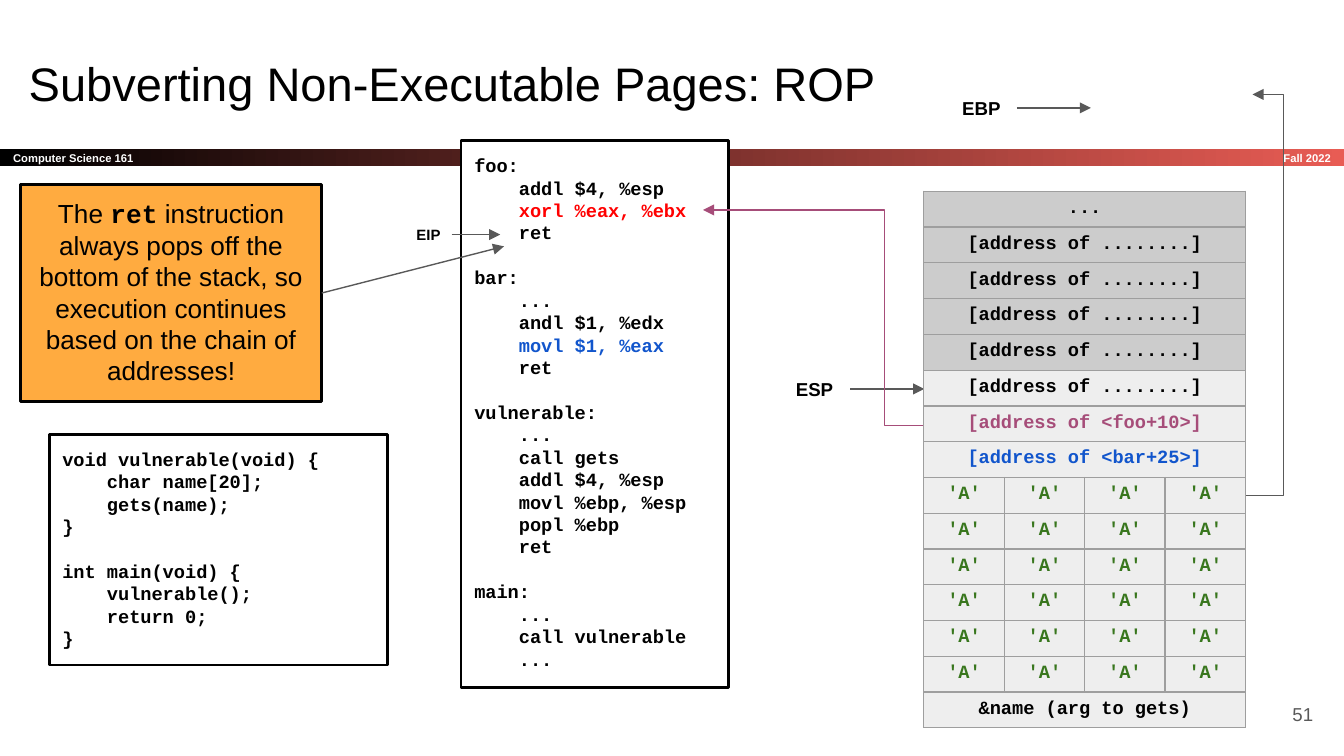
from lxml.etree import SubElement
from pptx import Presentation
from pptx.dml.color import RGBColor
from pptx.enum.shapes import MSO_CONNECTOR as Connector, MSO_SHAPE as Preset
from pptx.enum.text import MSO_ANCHOR as Anchor, MSO_AUTO_SIZE as AutoSize, PP_ALIGN as Align
from pptx.oxml import parse_xml
from pptx.oxml.ns import nsdecls, qn
from pptx.util import Pt

COLORS = {
    "black": "000000", "white": "FFFFFF", "gray": "595959", "coral": "E85C54",
    "orange": "FFAB40", "red": "FF0000", "blue": "1155CC", "plum": "A64D79",
    "green": "38761D", "border": "9E9E9E", "old": "CCCCCC", "live": "EEEEEE",
}
SANS, MONO = "Arial", "Courier New"
LINE_HEIGHT = 12

ASSEMBLY = [
    ["foo:", "    addl $4, %esp", "    xorl %eax, %ebx", "    ret"],
    ["bar:", "    ...", "    andl $1, %edx", "    movl $1, %eax", "    ret"],
    ["vulnerable:", "    ...", "    call gets", "    addl $4, %esp",
     "    movl %ebp, %esp", "    popl %ebp", "    ret"],
    ["main:", "    ...", "    call vulnerable", "    ..."],
]
C_SOURCE = [
    ["void vulnerable(void) {", "    char name[20];", "    gets(name);", "}"],
    ["int main(void) {", "    vulnerable();", "    return 0;", "}"],
]
HIGHLIGHTS = {"    xorl %eax, %ebx": "red", "    movl $1, %eax": "blue"}
PADDING = "[address of ........]"
STACK = (
    [(["..."], "black", "old")]
    + [([PADDING], "black", "old")] * 4
    + [([PADDING], "black", "live"),
       (["[address of <foo+10>]"], "plum", "live"),
       (["[address of <bar+25>]"], "blue", "live")]
    + [(["'A'"] * 4, "green", "live")] * 6
    + [(["&name (arg to gets)"], "black", "live")]
)


def rgb(name):
    return RGBColor.from_string(COLORS[name])


def add_run(paragraph, text, size, font=SANS, color="black", bold=False):
    run = paragraph.add_run()
    run.text = text
    run.font.name, run.font.size, run.font.bold = font, Pt(size), bold
    run.font.color.rgb = rgb(color)


def set_frame(shape, inset=7.2, anchor=Anchor.TOP):
    frame = shape.text_frame
    frame.auto_size = AutoSize.NONE
    frame.word_wrap = True
    frame.vertical_anchor = anchor
    frame.margin_left = frame.margin_right = Pt(inset)
    frame.margin_top = frame.margin_bottom = Pt(inset)
    return frame


def add_label(slide, box, text, size, align, color="black", bold=True,
              inset=7.2, anchor=Anchor.TOP):
    shape = slide.shapes.add_textbox(*map(Pt, box))
    paragraph = set_frame(shape, inset, anchor).paragraphs[0]
    paragraph.alignment = align
    add_run(paragraph, text, size, color=color, bold=bold)


def add_panel(slide, box, fill):
    """Add a black-outlined rectangle and return its text frame."""
    shape = slide.shapes.add_shape(Preset.RECTANGLE, *map(Pt, box))
    shape.shadow.inherit = False
    shape.fill.solid()
    shape.fill.fore_color.rgb = rgb(fill)
    shape.line.color.rgb = rgb("black")
    shape.line.width = Pt(1.5)
    return set_frame(shape)


def add_code(slide, box, blocks):
    frame = add_panel(slide, box, "white")
    paragraph = frame.paragraphs[0]
    for block_index, block in enumerate(blocks):
        for line_index, line in enumerate(block):
            if block_index or line_index:
                paragraph = frame.add_paragraph()
            paragraph.alignment = Align.LEFT
            if block_index and line_index == 0:
                paragraph.space_before = Pt(LINE_HEIGHT)
            add_run(paragraph, line, 10, MONO, HIGHLIGHTS.get(line, "black"), True)


def style_arrow(shape, color):
    shape.line.color.rgb = rgb(color)
    shape.line.width = Pt(0.75)
    outline = shape.element.spPr.find(qn("a:ln"))
    SubElement(outline, qn("a:tailEnd"), type="triangle")


def add_arrow(slide, start, end):
    arrow = slide.shapes.add_connector(Connector.STRAIGHT, *map(Pt, start + end))
    style_arrow(arrow, "gray")
    SubElement(arrow.element.spPr, qn("a:effectLst"))


def add_bent_arrow(slide, points, color):
    start, *rest = [(Pt(x), Pt(y)) for x, y in points]
    builder = slide.shapes.build_freeform(*start)
    builder.add_line_segments(rest, close=False)
    arrow = builder.convert_to_shape()
    arrow.shadow.inherit = False
    arrow.fill.background()
    style_arrow(arrow, color)


def add_band(slide):
    band = slide.shapes.add_shape(Preset.RECTANGLE, 0, Pt(80), Pt(720), Pt(8.8))
    band.shadow.inherit = False
    band.line.fill.background()
    band.fill.gradient()
    band.fill.gradient_angle = 0
    for stop, color, position in zip(band.fill.gradient_stops, ("black", "coral"), (0, 1)):
        stop.color.rgb = rgb(color)
        stop.position = position
    paragraph = set_frame(band, anchor=Anchor.MIDDLE).paragraphs[0]
    paragraph.alignment = Align.LEFT
    add_run(paragraph, "Computer Science 161", 6, color="white", bold=True)
    add_label(slide, (600, 80, 120, 8.8), "Fall 2022", 6, Align.RIGHT, "white",
              anchor=Anchor.MIDDLE)


def add_title(slide):
    title = slide.shapes.title
    title.left, title.top, title.width, title.height = map(Pt, (8.2, 21.9, 671, 45))
    paragraph = set_frame(title).paragraphs[0]
    paragraph.alignment = Align.LEFT
    add_run(paragraph, "Subverting Non-Executable Pages: ROP", 25.2)


def style_cell(cell, fill):
    cell.fill.solid()
    cell.fill.fore_color.rgb = rgb(fill)
    cell.margin_left = cell.margin_right = Pt(3.6)
    cell.margin_top = cell.margin_bottom = Pt(3.6)
    properties = cell._tc.get_or_add_tcPr()
    for index, side in enumerate("LRTB"):
        properties.insert(index, parse_xml(
            f'<a:ln{side} {nsdecls("a")} w="{Pt(0.75)}"><a:solidFill>'
            f'<a:srgbClr val="{COLORS["border"]}"/></a:solidFill></a:ln{side}>'))


def add_stack(slide):
    column_width, row_height, columns = 43.1, 19.18, 4
    table = slide.shapes.add_table(
        len(STACK), columns, Pt(494.9), Pt(102.5),
        Pt(column_width * columns), Pt(row_height * len(STACK))).table
    table.first_row = table.horz_banding = False
    for column in table.columns:
        column.width = Pt(column_width)
    for row_index, (texts, color, fill) in enumerate(STACK):
        table.rows[row_index].height = Pt(row_height)
        cells = [table.cell(row_index, column) for column in range(columns)]
        for cell in cells:
            style_cell(cell, fill)
        if len(texts) == 1:
            cells[0].merge(cells[-1])
        for cell, text in zip(cells, texts):
            paragraph = cell.text_frame.paragraphs[0]
            paragraph.alignment = Align.CENTER
            add_run(paragraph, text, 10, MONO, color, True)


def add_callout(slide):
    paragraph = add_panel(slide, (11, 98.8, 161.4, 116.4), "orange").paragraphs[0]
    paragraph.alignment = Align.CENTER
    add_run(paragraph, "The ", 14)
    add_run(paragraph, "ret", 14, MONO, bold=True)
    add_run(paragraph, " instruction always pops off the bottom of the stack, "
            "so execution continues based on the chain of addresses!", 14)
    add_arrow(slide, (172.4, 157), (270, 132))


def main():
    presentation = Presentation()
    presentation.slide_width, presentation.slide_height = Pt(720), Pt(405)
    slide = presentation.slides.add_slide(presentation.slide_layouts[5])
    add_band(slide)
    add_title(slide)
    add_code(slide, (247, 75.3, 143.5, 293.2), ASSEMBLY)
    add_label(slide, (217.3, 117.2, 24.6, 17.3), "EIP", 8, Align.CENTER, inset=3.6)
    add_arrow(slide, (242, 125.7), (268, 125.7))
    add_bent_arrow(slide, [(667.4, 265.4), (687.6, 265.4), (687.6, 50.6), (671, 50.6)], "gray")
    add_code(slide, (26.3, 232.7, 181.4, 123.6), C_SOURCE)
    for name, left, top in (("ESP", 417.3, 195.3), ("EBP", 506.6, 44.7)):
        add_label(slide, (left, top, 38.2, 26.6), name, 10, Align.CENTER)
        add_arrow(slide, (left + 38.2, top + 13.1), (left + 77.8, top + 13.1))
    add_callout(slide)
    add_label(slide, (667.4, 367.2, 43.2, 31), "51", 10, Align.RIGHT, "gray", False,
              anchor=Anchor.MIDDLE)
    add_bent_arrow(slide, [(495, 227.8), (473.9, 227.8), (473.9, 112.5), (376.6, 112.5)], "plum")
    add_stack(slide)
    presentation.save("out.pptx")


if __name__ == "__main__":
    main()
